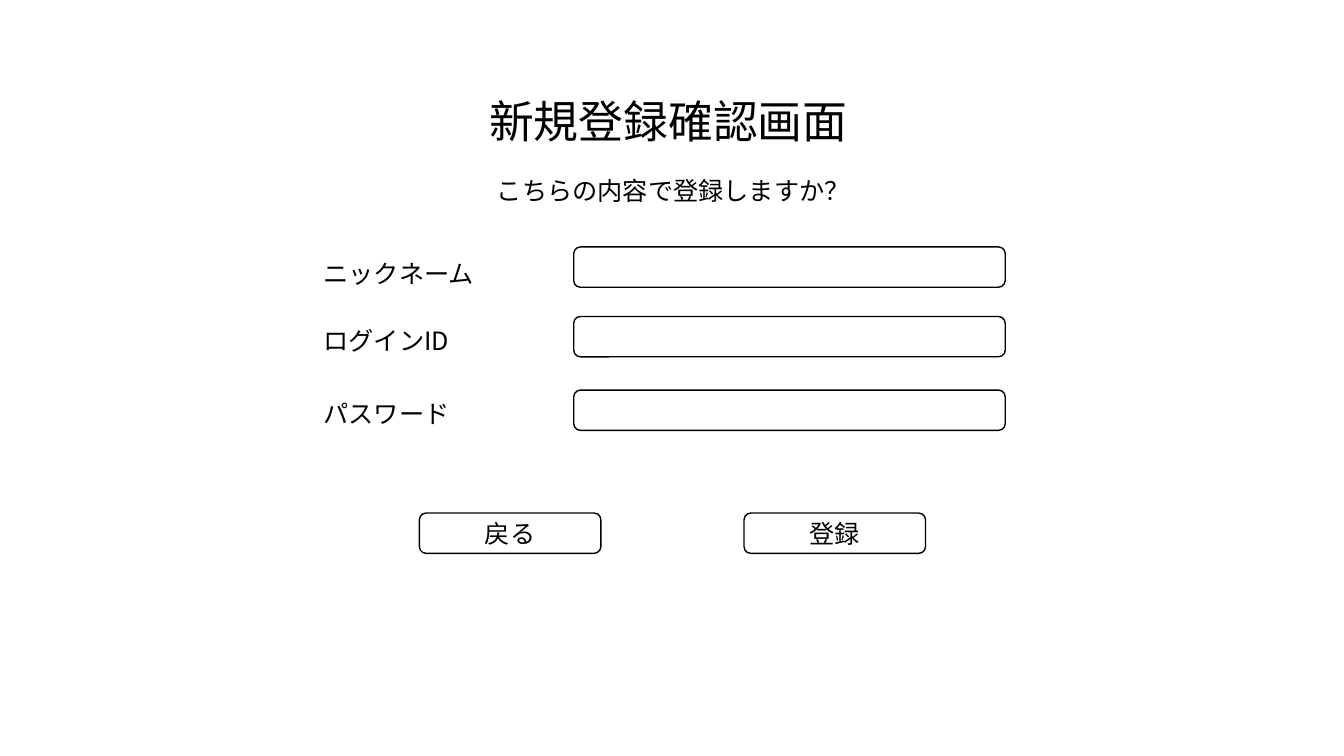
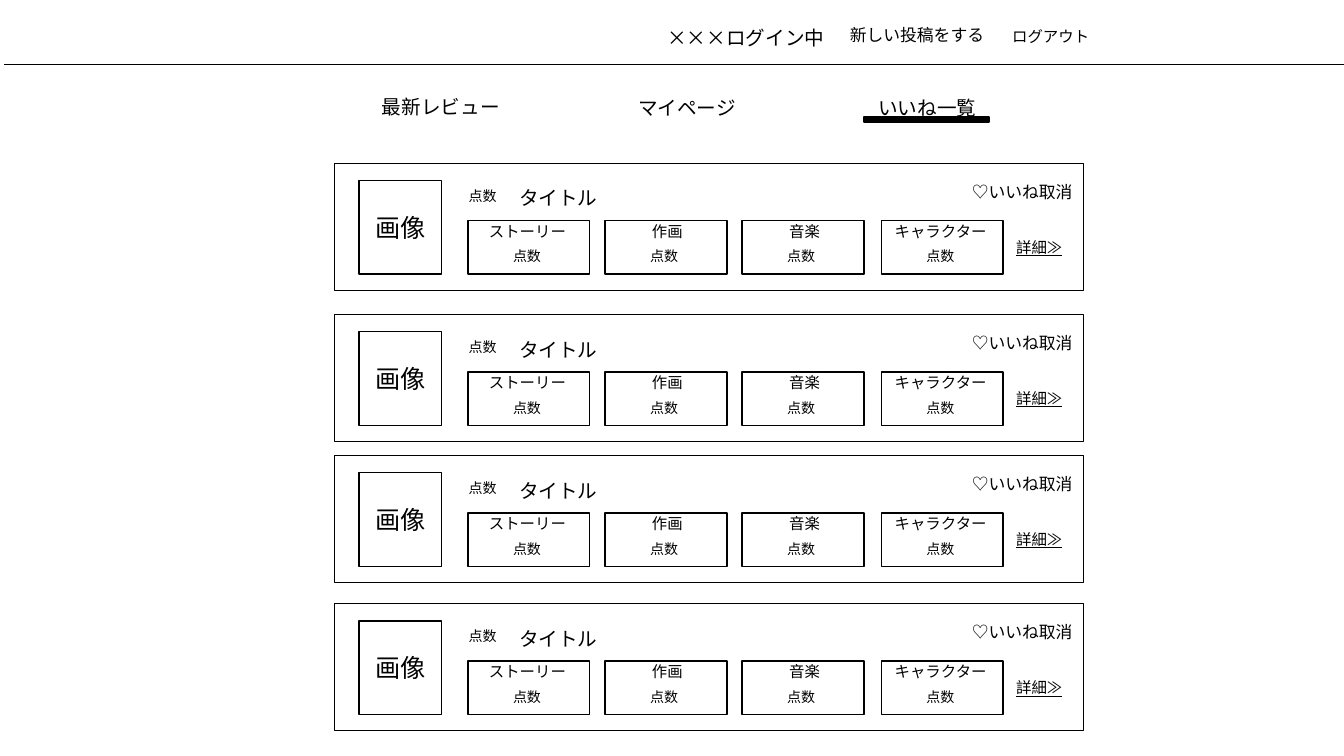
from pptx import Presentation
from pptx import util as u
from pptx.dml.color import RGBColor
from pptx.enum import shapes as kinds, text
from pptx.oxml.ns import qn
from lxml import etree

FONT = "Noto Sans CJK JP"
INK = "000000"
PAPER = "FFFFFF"
LEFT = text.PP_ALIGN.LEFT
CENTER = text.PP_ALIGN.CENTER
TITLE_ONLY = 5


def colour(value):
    return RGBColor.from_string(value)


def write(shape, words, size, align=LEFT, underline=False):
    frame = shape.text_frame
    frame.text = words
    frame.word_wrap = True
    paragraph = frame.paragraphs[0]
    paragraph.alignment = align
    for run in paragraph.runs:
        run.font.size = u.Pt(size)
        run.font.name = FONT
        run.font.color.rgb = colour(INK)
        if underline:
            run.font.underline = True
        latin = run.font._element.find(qn("a:latin"))
        east_asian = etree.Element(qn("a:ea"), typeface=FONT)
        latin.addnext(east_asian)


def fit_to_text(shape):
    shape.text_frame.vertical_anchor = text.MSO_ANCHOR.TOP
    shape.text_frame.auto_size = text.MSO_AUTO_SIZE.SHAPE_TO_FIT_TEXT


def add_label(shapes, words, left, top, width, height, size, align=LEFT, underline=False):
    label = shapes.add_textbox(*map(u.Inches, (left, top, width, height)))
    write(label, words, size, align, underline)
    fit_to_text(label)


def set_title(slide, words, left, top, width, height, size):
    title = slide.shapes.title
    title.left, title.top = u.Inches(left), u.Inches(top)
    title.width, title.height = u.Inches(width), u.Inches(height)
    write(title, words, size)
    fit_to_text(title)


def add_box(shapes, left, top, width, height, words="", rounded=False, fill=PAPER):
    preset = kinds.MSO_SHAPE.ROUNDED_RECTANGLE if rounded else kinds.MSO_SHAPE.RECTANGLE
    box = shapes.add_shape(preset, *map(u.Inches, (left, top, width, height)))
    box.shadow.inherit = False
    box.fill.solid()
    box.fill.fore_color.rgb = colour(fill)
    box.line.color.rgb = colour(INK)
    box.line.width = u.Pt(1)
    if words:
        write(box, words, 18, CENTER)
        box.text_frame.vertical_anchor = text.MSO_ANCHOR.MIDDLE


def add_rule(shapes, left, right, top):
    rule = shapes.add_connector(kinds.MSO_CONNECTOR.STRAIGHT,
                                *map(u.Inches, (left, top, right, top)))
    rule.line.color.rgb = colour(INK)
    rule.line.width = u.Pt(0.5)
    etree.SubElement(rule._element.spPr, qn("a:effectLst"))


def add_score(shapes, heading, left, top, heading_left, heading_width, align):
    add_box(shapes, left, top, 1.21, 0.53)
    add_label(shapes, "点数", left + 0.35, top + 0.22, 0.5, 0.27, 10)
    add_label(shapes, heading, heading_left, top - 0.04, heading_width, 0.29, 11, align)


def add_review_card(slide, top):
    shapes = slide.shapes.add_group_shape().shapes
    add_box(shapes, 3.32, top, 7.43, 1.26)
    add_box(shapes, 3.56, top + 0.17, 0.82, 0.93, "画像")
    add_label(shapes, "点数", 4.55, top + 0.19, 0.5, 0.27, 10)
    add_label(shapes, "タイトル", 5.05, top + 0.18, 0.98, 0.34, 14)
    add_label(shapes, "♡いいね取消", 9.54, top + 0.13, 1.21, 0.3, 12)
    for heading, left, heading_left, heading_width, align in (
            ("ストーリー", 4.64, 4.75, 1.02, LEFT),
            ("作画", 6, 6.11, 1.02, CENTER),
            ("音楽", 7.36, 7.47, 1.02, CENTER),
            ("キャラクター", 8.74, 8.7, 1.26, CENTER)):
        add_score(shapes, heading, left, top + 0.57, heading_left, heading_width, align)
    add_label(shapes, "詳細≫", 9.98, top + 0.69, 0.87, 0.29, 11, underline=True)


def build_confirmation(slide):
    shapes = slide.shapes
    set_title(slide, "新規登録確認画面", 4.75, 0.88, 3.83, 0.64, 32)
    add_label(shapes, "こちらの内容で登録しますか？", 4.83, 1.69, 3.83, 0.4, 18)
    for name, label_top, field_top in (
            ("ニックネーム", 2.51, 2.45),
            ("ログインID", 3.18, 3.14),
            ("パスワード", 3.9, 3.87)):
        add_label(shapes, name, 3.11, label_top, 1.72, 0.4, 18)
        add_box(shapes, 5.69, field_top, 4.28, 0.4, rounded=True)
    for name, left in (("戻る", 4.16), ("登録", 7.38)):
        add_box(shapes, left, 5.09, 1.8, 0.4, name, rounded=True)


def build_likes(slide):
    shapes = slide.shapes
    set_title(slide, "いいね一覧", 8.61, 0.9, 1.24, 0.34, 14)
    add_box(shapes, 8.57, 1.16, 1.24, 0.05, fill=INK)
    for card_top in (1.62, 3.12, 4.52, 5.99):
        add_review_card(slide, card_top)
    for words, left, top, width, height, size in (
            ("最新レビュー", 3.69, 0.89, 1.38, 0.34, 14),
            ("マイページ", 6.23, 0.9, 1.34, 0.34, 14),
            ("×××ログイン中", 6.52, 0.21, 1.81, 0.34, 14),
            ("新しい投稿をする", 8.33, 0.2, 1.81, 0.3, 12),
            ("ログアウト", 9.94, 0.22, 1.02, 0.29, 11)):
        add_label(shapes, words, left, top, width, height, size)
    add_rule(shapes, 0.04, 13.33, 0.64)


def main():
    presentation = Presentation()
    presentation.slide_width = u.Inches(13.33)
    presentation.slide_height = u.Inches(7.5)
    layout = presentation.slide_layouts[TITLE_ONLY]
    for build in (build_confirmation, build_likes):
        build(presentation.slides.add_slide(layout))
    presentation.save("out.pptx")


main()
